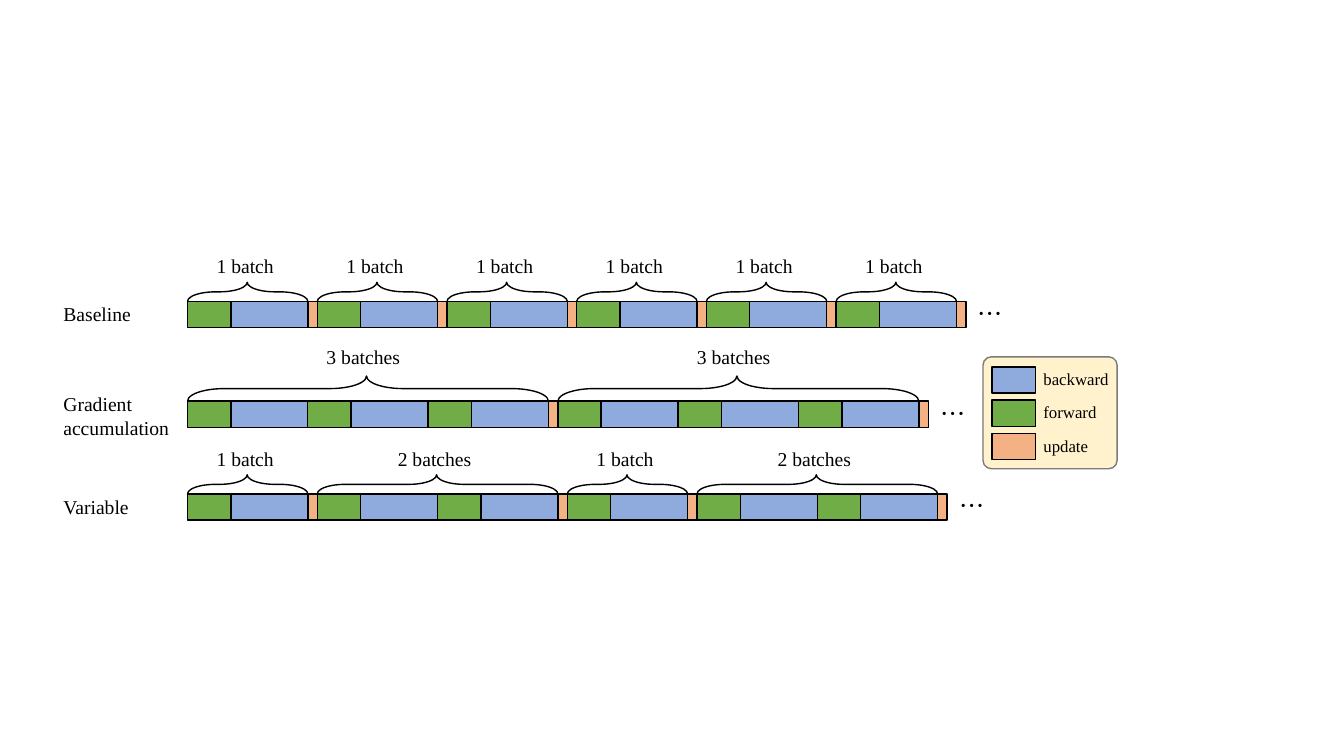
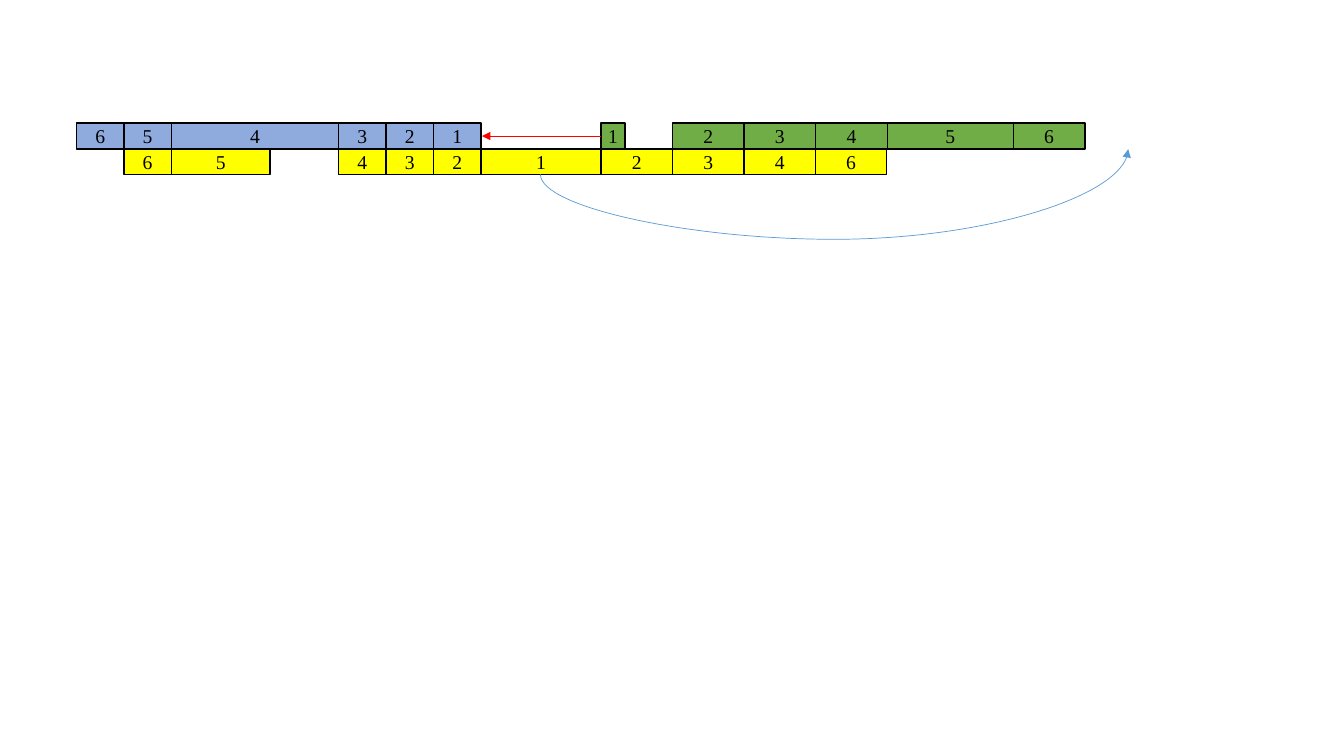
"""Draw two timelines of batch updates: accumulation schedules and overlapped layers."""
from dataclasses import dataclass
from typing import Any

from lxml import etree
from pptx import Presentation
from pptx import util as u
from pptx.dml.color import RGBColor
from pptx.enum import shapes, text
from pptx.oxml import ns

COLOURS = {
    "backward": "8FAADC",
    "forward": "70AD47",
    "update": "F4B183",
    "legend": "FFF2CC",
    "legend_edge": "7A7A7A",
    "transfer": "FFFF00",
    "ink": "000000",
    "dependency": "FF0000",
    "carry_over": "5B9BD5",
}
SERIF = "Times New Roman"
ELLIPSIS_FONT = "Noto Sans CJK SC"
LABEL_FRAME = {"word_wrap": True, "auto_size": text.MSO_AUTO_SIZE.SHAPE_TO_FIT_TEXT}
CELL_FRAME = {
    "word_wrap": True,
    "vertical_anchor": text.MSO_ANCHOR.MIDDLE,
    "margin_left": 0,
    "margin_right": 0,
    "margin_top": 0,
    "margin_bottom": 0,
}

STRIP_LEFT = 1.86
STRIP_HEIGHT = 0.26
FORWARD = 0.43
BATCH = 3.58 / 3
UPDATE = 0.28 / 3
CAPTION_BOXES = {1: (0.19, 1.0), 2: (0.70, 1.02), 3: (1.28, 1.37)}


@dataclass(frozen=True)
class Schedule:
    name: str
    name_top: float
    name_width: float
    name_height: float
    top: float
    brace_height: float
    caption_rise: float
    groups: tuple[int, ...]


@dataclass(frozen=True)
class Lane:
    colour: str
    left: float
    top: float
    height: float
    cells: tuple[tuple[str, float], ...]


SCHEDULES = (
    Schedule("Baseline", 2.95, 1.09, 0.34, 2.99, 0.19, 0.52, (1,) * 6),
    Schedule("Gradient accumulation", 3.84, 1.39, 0.57, 3.98, 0.25, 0.61, (3, 3)),
    Schedule("Variable", 4.86, 1.39, 0.34, 4.90, 0.19, 0.52, (1, 2, 1, 2)),
)

LANES = (
    Lane("backward", 0.76, 1.22, 0.26,
         (("6", 0.47), ("5", 0.47), ("4", 1.66), ("3", 0.47), ("2", 0.47), ("1", 0.47))),
    Lane("forward", 5.96, 1.22, 0.26,
         (("1", 0.24), ("", 0.47), ("2", 0.71), ("3", 0.71), ("4", 0.71), ("5", 1.25), ("6", 0.71))),
    Lane("transfer", 1.23, 1.48, 0.25,
         (("6", 0.47), ("5", 0.98), ("", 0.68), ("4", 0.47), ("3", 0.47), ("2", 0.47),
          ("1", 1.19), ("2", 0.71), ("3", 0.71), ("4", 0.71), ("6", 0.70))),
)


def rgb(colour: str) -> RGBColor:
    return RGBColor.from_string(COLOURS[colour])


def apply_format(target: Any, values: dict[str, Any]) -> None:
    for attribute, value in values.items():
        setattr(target, attribute, value)


def write(frame: Any, words: str, size: int, font: str = SERIF) -> None:
    run = frame.paragraphs[0].add_run()
    run.text = words
    apply_format(run.font, {"name": font, "size": u.Pt(size)})
    run.font.color.rgb = rgb("ink")
    east_asian = etree.SubElement(run.font._element, ns.qn("a:ea"))
    east_asian.set("typeface", font)


def add_label(slide: Any, words: str, left: float, top: float, width: float,
              height: float = 0.34, size: int = 14, font: str = SERIF) -> None:
    label = slide.shapes.add_textbox(*map(u.Inches, (left, top, width, height)))
    apply_format(label.text_frame, LABEL_FRAME)
    write(label.text_frame, words, size, font)


def add_block(slide: Any, left: float, top: float, width: float, height: float,
              fill: str | None, edge: str = "ink",
              preset: Any = shapes.MSO_SHAPE.RECTANGLE) -> Any:
    block = slide.shapes.add_shape(preset, *map(u.Inches, (left, top, width, height)))
    block.shadow.inherit = False
    if fill is None:
        block.fill.background()
    else:
        block.fill.solid()
        block.fill.fore_color.rgb = rgb(fill)
    block.line.color.rgb = rgb(edge)
    block.line.width = u.Pt(1)
    return block


def add_brace(slide: Any, left: float, bottom: float, span: float, height: float) -> None:
    brace = add_block(slide, left + (span - height) / 2, bottom - (height + span) / 2,
                      height, span, None, preset=shapes.MSO_SHAPE.RIGHT_BRACE)
    brace.rotation = 270
    brace.adjustments[0] = 1.451
    brace.adjustments[1] = 0.496


def draw_schedule(slide: Any, schedule: Schedule) -> None:
    add_label(slide, schedule.name, 0.53, schedule.name_top,
              schedule.name_width, schedule.name_height)
    left = STRIP_LEFT
    for count in schedule.groups:
        span = count * BATCH
        for index in range(count):
            start = left + index * BATCH
            add_block(slide, start + FORWARD, schedule.top, BATCH - FORWARD, STRIP_HEIGHT, "backward")
            add_block(slide, start, schedule.top, FORWARD, STRIP_HEIGHT, "forward")
        add_block(slide, left + span, schedule.top, UPDATE, STRIP_HEIGHT, "update")
        add_brace(slide, left, schedule.top, span, schedule.brace_height)
        offset, width = CAPTION_BOXES[count]
        caption = "1 batch" if count == 1 else f"{count} batches"
        add_label(slide, caption, left + offset, schedule.top - schedule.caption_rise, width)
        left += span + UPDATE
    add_label(slide, "…", left + 0.02, schedule.top - 0.08, 0.49, 0.4, 18, ELLIPSIS_FONT)


def draw_legend(slide: Any) -> None:
    panel = add_block(slide, 9.75, 3.54, 1.33, 1.11, "legend", "legend_edge",
                      shapes.MSO_SHAPE.ROUNDED_RECTANGLE)
    panel.adjustments[0] = 0.074
    for index, phase in enumerate(("backward", "forward", "update")):
        top = 3.64 + index * 0.33
        add_block(slide, 9.84, top, FORWARD, STRIP_HEIGHT, phase)
        add_label(slide, phase, 10.25, top - 0.03, 0.88, 0.3, 12)


def draw_lane(slide: Any, lane: Lane) -> None:
    left = lane.left
    for layer, width in lane.cells:
        if layer:
            cell = add_block(slide, left, lane.top, width, lane.height, lane.colour)
            apply_format(cell.text_frame, CELL_FRAME)
            cell.text_frame.paragraphs[0].alignment = text.PP_ALIGN.CENTER
            write(cell.text_frame, layer, 14)
        left += width


def add_arrow(slide: Any, kind: Any, start: tuple[float, float],
              end: tuple[float, float], colour: str) -> Any:
    arrow = slide.shapes.add_connector(kind, *map(u.Inches, (*start, *end)))
    arrow.line.color.rgb = rgb(colour)
    arrow.line.width = u.Pt(0.5)
    outline = arrow.line._get_or_add_ln()
    etree.SubElement(outline, ns.qn("a:tailEnd")).set("type", "triangle")
    etree.SubElement(arrow.element.spPr, ns.qn("a:effectLst"))
    return arrow


def draw_arrows(slide: Any) -> None:
    add_arrow(slide, shapes.MSO_CONNECTOR.STRAIGHT, (5.96, 1.35), (4.78, 1.35), "dependency")
    carry_over = add_arrow(slide, shapes.MSO_CONNECTOR.CURVE, (8.40, 4.52), (8.15, -1.31), "carry_over")
    carry_over.rotation = 90
    geometry = carry_over.element.spPr.find(ns.qn("a:prstGeom"))
    guides = geometry.find(ns.qn("a:avLst"))
    if guides is None:
        guides = etree.SubElement(geometry, ns.qn("a:avLst"))
    bend = etree.SubElement(guides, ns.qn("a:gd"))
    bend.set("name", "adj1")
    bend.set("fmla", "val -257800")


def main() -> None:
    deck = Presentation()
    deck.slide_width, deck.slide_height = u.Inches(13.33), u.Inches(7.5)
    blank = deck.slide_layouts[6]
    accumulation = deck.slides.add_slide(blank)
    draw_legend(accumulation)
    for schedule in SCHEDULES:
        draw_schedule(accumulation, schedule)
    overlap = deck.slides.add_slide(blank)
    for lane in LANES:
        draw_lane(overlap, lane)
    draw_arrows(overlap)
    deck.save("out.pptx")


if __name__ == "__main__":
    main()
